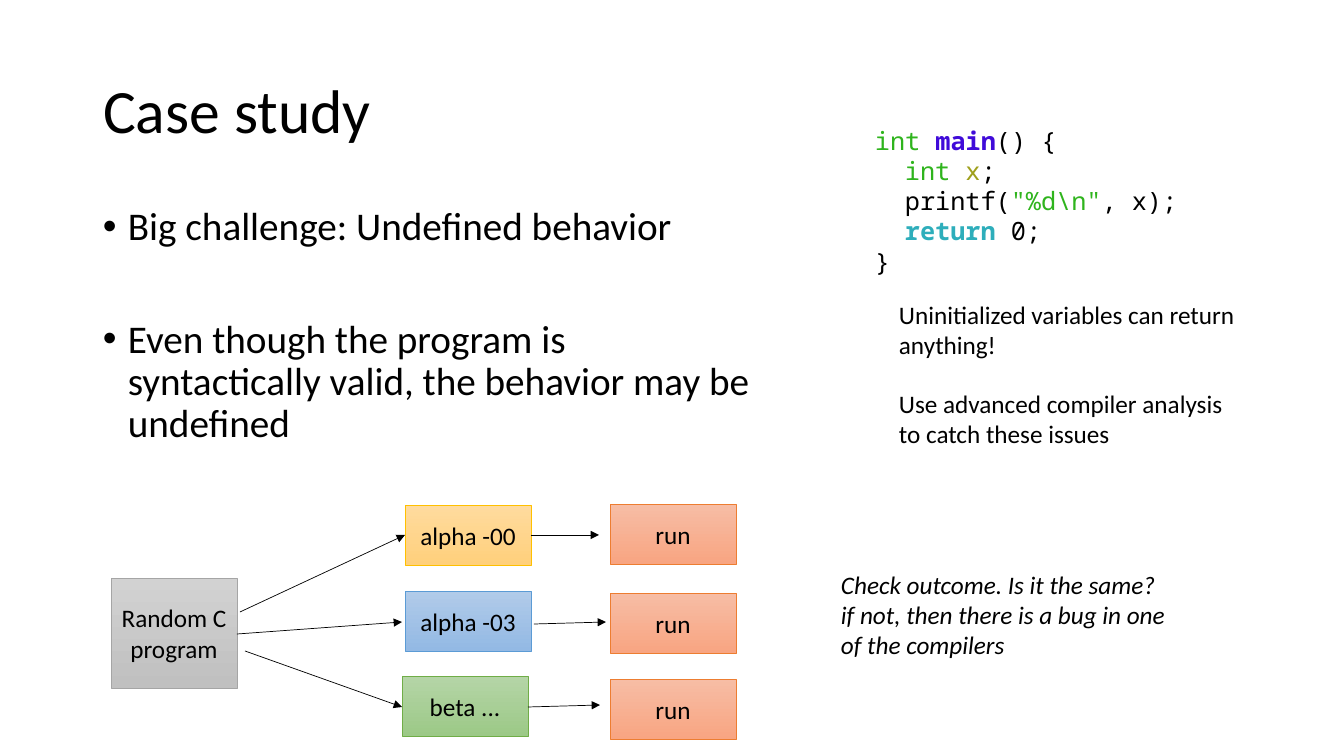
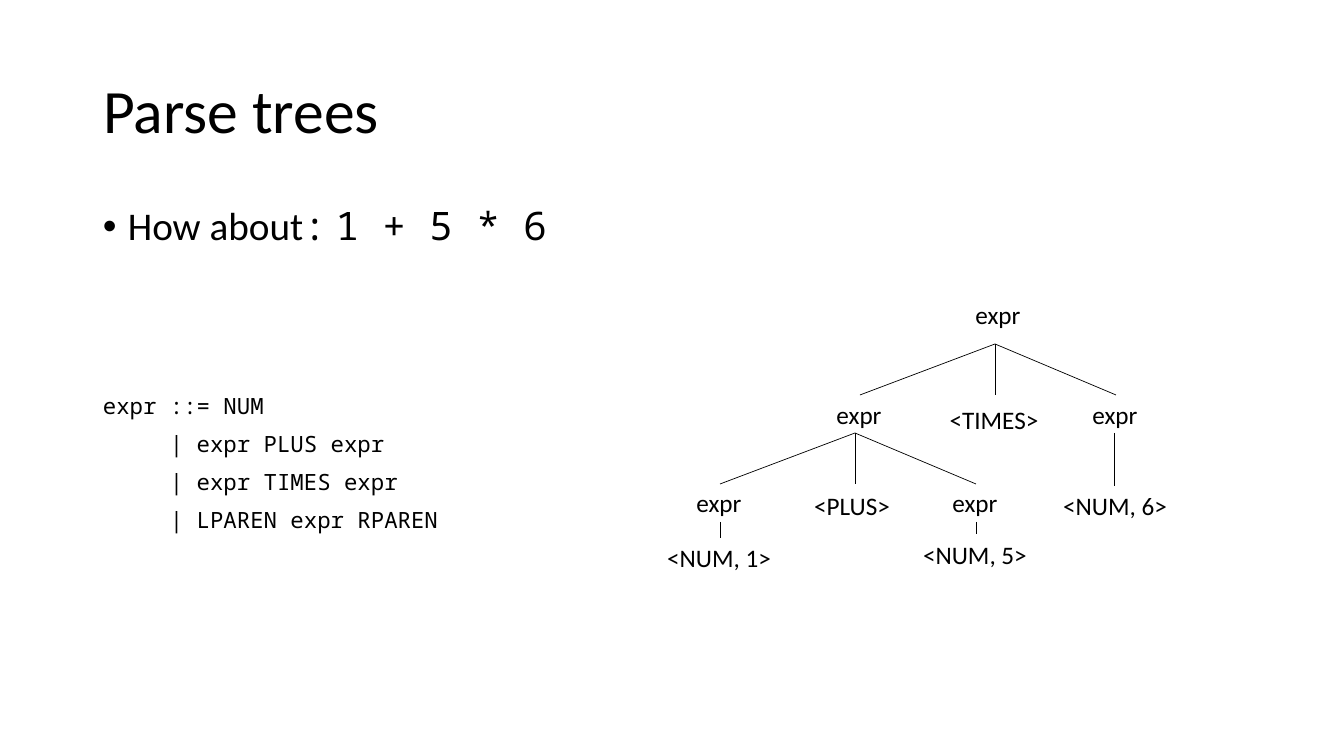
"""Build two compiler lecture slides: a case study and a parse tree."""
from lxml.etree import SubElement
from pptx import Presentation
from pptx.dml.color import RGBColor
from pptx.enum.shapes import MSO_CONNECTOR, MSO_SHAPE
from pptx.enum.text import MSO_ANCHOR, PP_ALIGN
from pptx.oxml.ns import qn
from pptx.util import Pt

PX = 9071
SANS, MONO = "Calibri", "Noto Sans Mono"
BLACK = RGBColor(0, 0, 0)
TYPE = RGBColor(0x2F, 0xB4, 0x1D)
FUNC = RGBColor(0x40, 0x0B, 0xD9)
NAME = RGBColor(0x9F, 0xA0, 0x1C)
WORD = RGBColor(0x2E, 0xAE, 0xBB)
GRAY = [RGBColor.from_string(c) for c in ("D2D2D2", "C0C0C0", "A5A5A5")]
GOLD = [RGBColor.from_string(c) for c in ("FFDB9E", "FFD07C", "FFC000")]
BLUE = [RGBColor.from_string(c) for c in ("B1CBE9", "93B9E4", "5B9BD5")]
GREEN = [RGBColor.from_string(c) for c in ("B5D5A7", "9CC987", "70AD47")]
CORAL = [RGBColor.from_string(c) for c in ("F7BDA5", "F8A582", "ED7D31")]


def write(frame, *runs, size=18, font=SANS, italic=False, align=PP_ALIGN.LEFT,
          lead=1.0, before=0, indent=0, bullet=False):
    """Add one paragraph; a run is a string or (text, colour, font, bold)."""
    para = frame.add_paragraph() if frame.text else frame.paragraphs[0]
    para.alignment, para.line_spacing, para.space_before = align, lead, Pt(before)
    props = para._p.get_or_add_pPr()
    props.set("marL", str(indent * PX))
    props.set("indent", str(-indent * PX if bullet else 0))
    if bullet:
        SubElement(props, qn("a:buFont")).set("typeface", "Arial")
        SubElement(props, qn("a:buChar")).set("char", "•")
    for item in runs:
        text, color, face, bold = (item, BLACK, font, False) if isinstance(item, str) else item
        run = para.add_run()
        run.text = text
        run.font.size, run.font.name = Pt(size), face
        run.font.bold, run.font.italic = bold, italic
        run.font.color.rgb = color


def join(slide, ends, arrow=False):
    """Draw a thin line from one point to another."""
    line = slide.shapes.add_connector(MSO_CONNECTOR.STRAIGHT, *[n * PX for n in ends])
    line.line.color.rgb, line.line.width = BLACK, Pt(0.5)
    if arrow:
        SubElement(line.line._get_or_add_ln(), qn("a:tailEnd")).set("type", "triangle")
    SubElement(line._element.spPr, qn("a:effectLst"))


deck = Presentation()
deck.slide_width, deck.slide_height = 1344 * PX, 756 * PX
slides = []
for head in ("Case study", "Parse trees"):
    slide = deck.slides.add_slide(deck.slide_layouts[5])
    title = slide.shapes.title
    title.left, title.top, title.width, title.height = [n * PX for n in (93, 41, 1159, 146)]
    title.text_frame.vertical_anchor = MSO_ANCHOR.MIDDLE
    write(title.text_frame, head, size=44, lead=0.9)
    slides.append(slide)
study, tree = slides

boxes = [
    (111, 578, 110, "Random C program", GRAY),
    (405, 505, 60, "alpha -00", GOLD),
    (405, 591, 60, "alpha -03", BLUE),
    (402, 676, 60, "beta ...", GREEN),
]
boxes += [(610, y, 60, "run", CORAL) for y in (504, 593, 679)]
for x, y, high, label, (top, base, edge) in boxes:
    box = study.shapes.add_shape(MSO_SHAPE.RECTANGLE, x * PX, y * PX, 126 * PX, high * PX)
    box.shadow.inherit = False
    box.fill.gradient()
    box.fill.gradient_angle = 270
    for stop, color in zip(box.fill.gradient_stops, (top, base)):
        stop.color.rgb = color
    box.line.color.rgb, box.line.width = edge, Pt(0.5)
    box.text_frame.vertical_anchor = MSO_ANCHOR.MIDDLE
    box.text_frame.word_wrap = True
    write(box.text_frame, label, align=PP_ALIGN.CENTER)

for ends in ((240, 612, 405, 535), (237, 634, 402, 622), (245, 651, 402, 707),
             (531, 535, 599, 535), (534, 624, 606, 622), (528, 707, 600, 705)):
    join(study, ends, arrow=True)

for x, y in ((995, 344), (855, 433)):
    for step in (-135, 0, 121):
        join(tree, (x, y, x + step, y + 51))
for x, y, end in ((1114, 433, 486), (720, 522, 538), (976, 522, 534)):
    join(tree, (x, y, x, end))

point = dict(size=28, lead=0.9, before=10, indent=25, bullet=True)
code = dict(font=MONO)
inner = dict(font=MONO, indent=30)
rule = dict(font=MONO, size=16, lead=0.9, before=10)
option = dict(rule, indent=67)
note = dict(italic=True)
node = dict(align=PP_ALIGN.CENTER)

texts = [
    (study, 93, 202, 678, 286, [
        (["Big challenge: Undefined behavior"], point),
        (["Even though the program is syntactically valid, the behavior may be undefined"],
         dict(point, before=50))]),
    (study, 831, 564, 360, 102, [
        (["Check outcome. Is it the same?"], note),
        (["if not, then there is a bug in one"], note),
        (["of the compilers"], note)]),
    (study, 865, 120, 368, 163, [
        ([("int ", TYPE, MONO, False), ("main", FUNC, MONO, True), "() {"], code),
        ([("int ", TYPE, MONO, False), ("x", NAME, MONO, False), ";"], inner),
        (["printf(", ('"%d\\n"', TYPE, MONO, False), ", x);"], inner),
        ([("return", WORD, MONO, True), " 0;"], inner),
        (["}"], code)]),
    (study, 889, 294, 370, 72, [
        (["Uninitialized variables can return"], {}),
        (["anything!"], {})]),
    (study, 889, 383, 370, 72, [
        (["Use advanced compiler analysis"], {}),
        (["to catch these issues"], {})]),
    (tree, 93, 202, 1159, 134, [
        (["How about", (":", BLACK, MONO, False), " ",
          ("1 + 5 * 6", BLACK, MONO, False)], point)]),
    (tree, 93, 390, 415, 174, [
        (["expr ::= NUM"], rule),
        (["| expr PLUS expr"], option),
        (["| expr TIMES expr"], option),
        (["| LPAREN expr RPAREN"], option)]),
]
for mid, y, label in (
        (998, 294, "expr"), (859, 394, "expr"), (994, 399, "<TIMES>"),
        (1115, 394, "expr"), (1115, 485, "<NUM, 6>"), (852, 485, "<PLUS>"),
        (719, 482, "expr"), (975, 482, "expr"),
        (975, 534, "<NUM, 5>"), (719, 537, "<NUM, 1>")):
    texts.append((tree, mid - 70, y, 140, 40, [([label], node)]))

for slide, x, y, wide, high, paras in texts:
    frame = slide.shapes.add_textbox(x * PX, y * PX, wide * PX, high * PX).text_frame
    frame.word_wrap = True
    for runs, style in paras:
        write(frame, *runs, **style)

deck.save("out.pptx")
